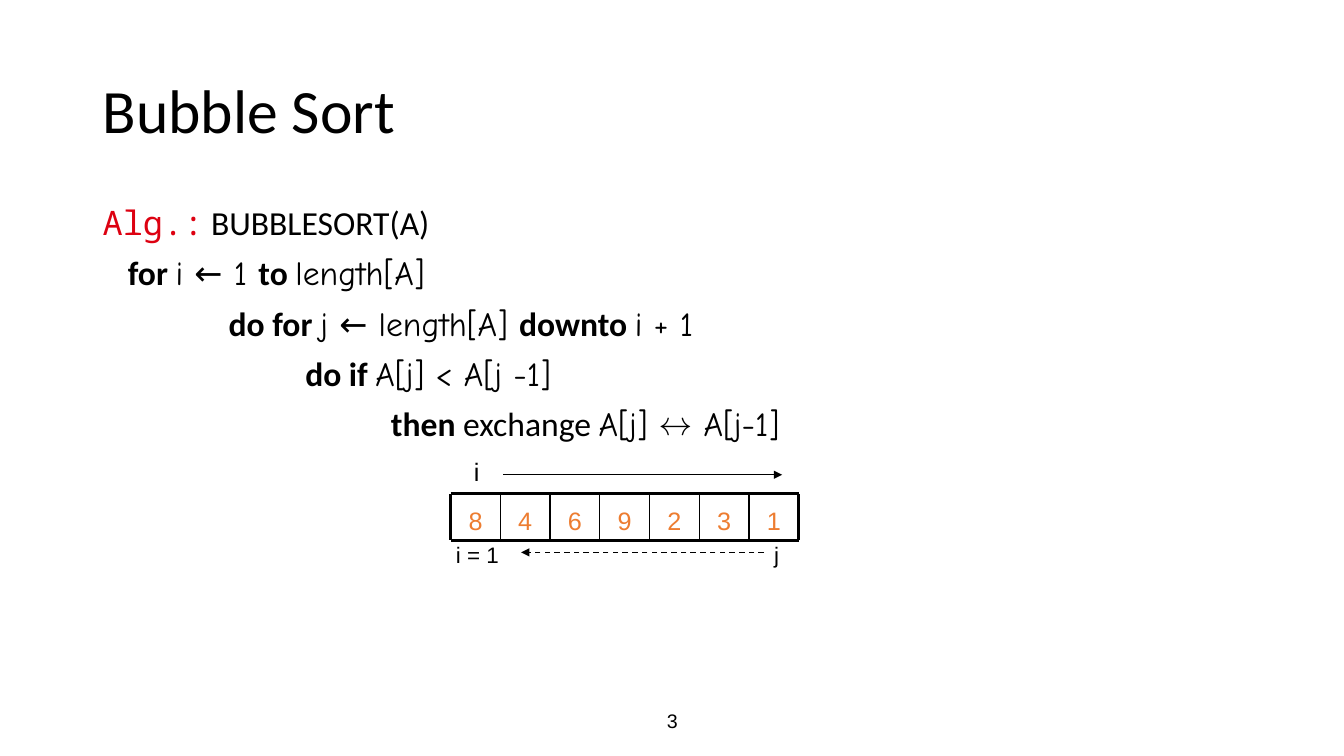
from lxml.etree import SubElement
from pptx import Presentation
from pptx.dml.color import RGBColor
from pptx.enum.dml import MSO_LINE_DASH_STYLE as Dash
from pptx.enum.shapes import MSO_CONNECTOR as Conn
from pptx.enum.text import MSO_ANCHOR as Anchor, PP_ALIGN as Align
from pptx.oxml.ns import qn
from pptx.util import Inches, Pt

BLACK = RGBColor(0x00, 0x00, 0x00)
RED = RGBColor(0xDD, 0x01, 0x11)
ORANGE = RGBColor(0xED, 0x7D, 0x31)
WIDE, HIGH = Inches(13.33), Inches(7.5)
SANS, HAND, MONO, PLAIN = "Calibri", "Comic Neue", "Noto Sans Mono", "Arial"

VALUES = [8, 4, 6, 9, 2, 3, 1]
LEFT, TOP, CELL, ROW = 33.53, 65.33, 3.7, 6.13

WORD = {"name": SANS, "bold": False}
KEY = {"name": SANS, "bold": True}
VAR = {"name": HAND, "bold": False}
CODE = [
    (0, [("Alg.:", {"name": MONO, "color": RED}), (" BUBBLESORT(A)", WORD)]),
    (0.25, [("for ", KEY), ("i ← 1 ", VAR), ("to ", KEY), ("length[A]", VAR)]),
    (1.25, [("do for ", KEY), ("j ← length[A] ", VAR),
            ("downto ", KEY), ("i + 1", VAR)]),
    (2.01, [("do if ", KEY), ("A[j] < A[j -1]", VAR)]),
    (2.86, [("then", KEY), (" exchange ", WORD), ("A[j] ↔ A[j-1]", VAR)]),
]


def across(share):
    return round(WIDE * share / 100)


def down(share):
    return round(HIGH * share / 100)


def place(x, y, w, h):
    return across(x), down(y), across(w), down(h)


def write(para, text, size, color=BLACK, **form):
    run = para.add_run()
    run.text = text
    run.font.size = Pt(size)
    run.font.color.rgb = color
    for name, value in form.items():
        setattr(run.font, name, value)


def add_box(slide, spot, wrap=True, anchor=Anchor.TOP):
    frame = slide.shapes.add_textbox(*place(*spot)).text_frame
    frame.word_wrap = wrap
    frame.vertical_anchor = anchor
    return frame


def add_label(slide, text, spot, size, color=BLACK, **form):
    para = add_box(slide, spot, **form).paragraphs[0]
    para.alignment = Align.CENTER
    write(para, text, size, color, name=PLAIN)


def add_line(slide, x1, y1, x2, y2, width, head=False, dash=None):
    line = slide.shapes.add_connector(
        Conn.STRAIGHT, across(x1), down(y1), across(x2), down(y2))
    line.line.color.rgb = BLACK
    line.line.width = Pt(width)
    if dash:
        line.line.dash_style = dash
    props = line._element.spPr
    if head:
        SubElement(props.find(qn("a:ln")), qn("a:tailEnd"), type="triangle")
    SubElement(props, qn("a:effectLst"))


def add_title(slide, text):
    title = slide.shapes.title
    spot = place(6.9, 5.33, 86.25, 19.33)
    for name, value in zip(("left", "top", "width", "height"), spot):
        setattr(title, name, value)
    title.text_frame.vertical_anchor = Anchor.MIDDLE
    para = title.text_frame.paragraphs[0]
    para.alignment = Align.LEFT
    para.line_spacing = 0.9
    write(para, text, 44, name=SANS)


def add_code(slide):
    frame = add_box(slide, (6.9, 26.67, 86.25, 63.47))
    for row, (indent, runs) in enumerate(CODE):
        para = frame.add_paragraph() if row else frame.paragraphs[0]
        para.line_spacing = 0.9
        para.space_before = Pt(10)
        para._p.get_or_add_pPr().set("marL", str(Inches(indent)))
        for text, form in runs:
            write(para, text, 24, **form)


def add_array(slide):
    count = len(VALUES)
    right, base = LEFT + count * CELL, TOP + ROW
    for col, value in enumerate(VALUES):
        add_label(slide, str(value), (LEFT + col * CELL, TOP, CELL, ROW),
                  18, ORANGE, anchor=Anchor.BOTTOM)
    for y in (TOP, base):
        add_line(slide, LEFT, y, right, y, 2.25)
    for col in range(count + 1):
        x = LEFT + col * CELL
        add_line(slide, x, TOP, x, base, 2.25 if col in (0, count) else 1)


def main():
    deck = Presentation()
    deck.slide_width, deck.slide_height = WIDE, HIGH
    slide = deck.slides.add_slide(deck.slide_layouts[5])
    add_title(slide, "Bubble Sort")
    add_code(slide)
    add_array(slide)
    add_label(slide, "i = 1", (33.15, 70.93, 4.73, 4.93), 16, wrap=False)
    add_label(slide, "j", (56.85, 70.93, 1.88, 4.93), 16, wrap=False)
    add_label(slide, "i", (34.5, 59.73, 1.95, 5.33), 18, wrap=False)
    add_line(slide, 56.85, 73.07, 38.77, 73.07, 1, True, Dash.DASH)
    add_line(slide, 37.43, 62.8, 58.2, 62.8, 0.75, True)
    add_label(slide, "3", (33.15, 92.67, 33.75, 5.33), 14,
              anchor=Anchor.MIDDLE)
    deck.save("out.pptx")


if __name__ == "__main__":
    main()
